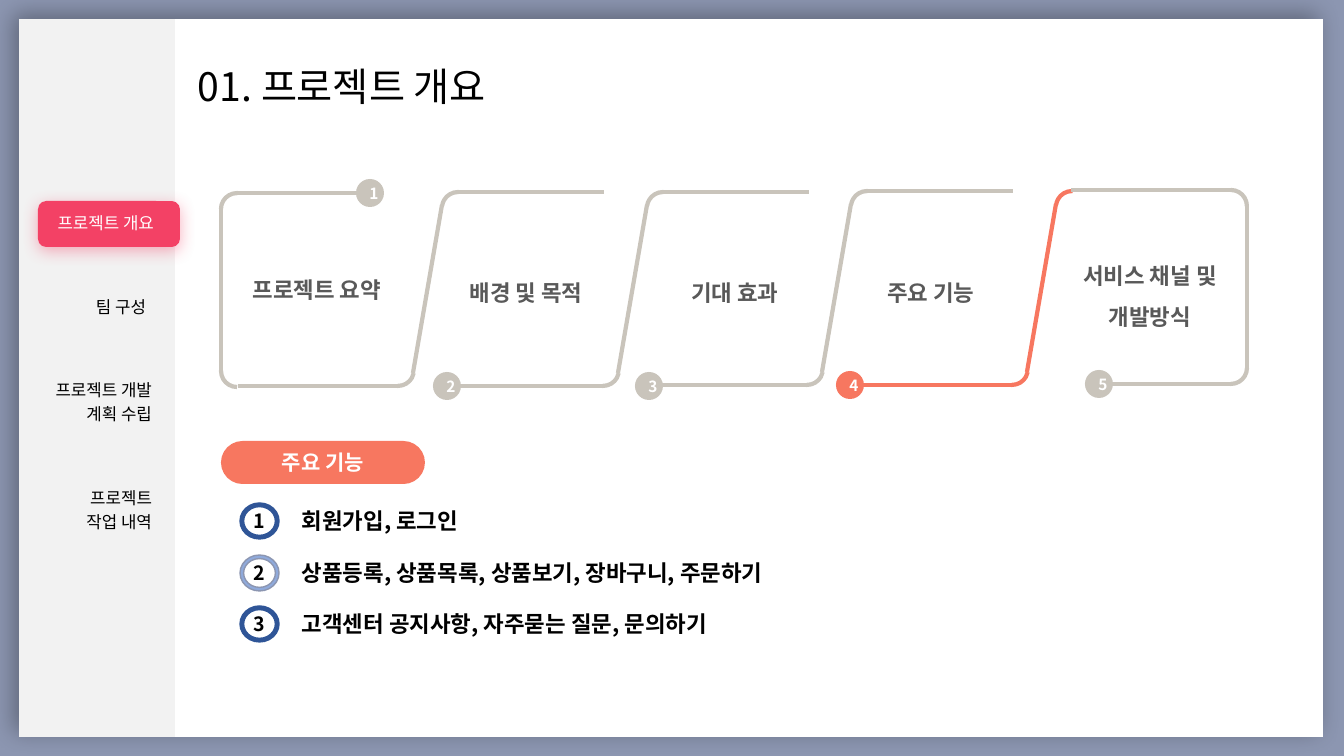
from lxml.etree import SubElement
from pptx import Presentation
from pptx.dml.color import RGBColor
from pptx.enum.shapes import MSO_CONNECTOR, MSO_SHAPE
from pptx.enum.text import MSO_ANCHOR, PP_ALIGN
from pptx.oxml.ns import qn
from pptx.util import Emu, Pt

FONT = "Noto Sans CJK KR"
GREY, CORAL, PINK = "C9C4BB", "F77760", "F34165"
WHITE, BLACK, DARK = "FFFFFF", "000000", "595959"
NO_STYLE = "{2D5ABB26-0587-4C30-8999-92F81FD0307C}"
CORNER, HALF = 32, 16
FRAME_H, STEP = 194, 204.6


def px(n):
    """Turn pixels (100.8 to the inch) into EMU."""
    return Emu(round(n * 914400 / 100.8))


def rgb(color):
    return RGBColor.from_string(color)


def style_text(tf, size, color, bold=False, align=PP_ALIGN.LEFT, spacing=None):
    tf.word_wrap = True
    for p in tf.paragraphs:
        p.alignment = align
        if spacing:
            p.line_spacing = spacing
        for r in p.runs:
            r.font.size = Pt(size)
            r.font.bold = bold
            r.font.color.rgb = rgb(color)
            r.font.name = FONT
            SubElement(r.font._element, qn("a:ea"), typeface=FONT)


def add_text(s, box, text, size, color=BLACK, **style):
    tf = s.shapes.add_textbox(*map(px, box)).text_frame
    tf.text = text
    style_text(tf, size, color, **style)


def add_shape(s, kind, box, fill=None, line=None, width=1, adj=()):
    sp = s.shapes.add_shape(kind, *map(px, box))
    sp.shadow.inherit = False
    for i, value in enumerate(adj):
        sp.adjustments[i] = value
    if fill:
        sp.fill.solid()
        sp.fill.fore_color.rgb = rgb(fill)
    else:
        sp.fill.background()
    if line:
        sp.line.color.rgb = rgb(line)
        sp.line.width = Pt(width)
    else:
        sp.line.fill.background()
    return sp


def add_shadow(sp, color, alpha, blur, dist, angle):
    effects = sp._element.spPr.find(qn("a:effectLst"))
    shadow = SubElement(effects, qn("a:outerShdw"), blurRad=str(Pt(blur)), dist=str(Pt(dist)),
                        dir=str(angle * 60000), algn="ctr", rotWithShape="0")
    clr = SubElement(shadow, qn("a:srgbClr"), val=color)
    SubElement(clr, qn("a:alpha"), val=str(alpha * 1000))


def add_line(s, x1, y1, x2, y2, color=GREY):
    c = s.shapes.add_connector(MSO_CONNECTOR.STRAIGHT, px(x1), px(y1), px(x2), px(y2))
    c.line.color.rgb = rgb(color)
    c.line.width = Pt(3)
    SubElement(c._element.spPr, qn("a:effectLst"))


def add_corner(s, x, y, rotation, color=GREY, start=162):
    """Draw a rounded corner; start is the arc's first angle in units of 5/3 degrees."""
    sp = add_shape(s, MSO_SHAPE.ARC, (x, y, CORNER, CORNER), line=color, width=3, adj=(start, 1.2))
    sp.rotation = rotation


def add_badge(s, x, y, number, color):
    sp = add_shape(s, MSO_SHAPE.OVAL, (x, y, 28, 28), color)
    tf = sp.text_frame
    tf.text = number
    tf.vertical_anchor = MSO_ANCHOR.MIDDLE
    tf.margin_left = px(8)
    tf.margin_right = tf.margin_top = tf.margin_bottom = 0
    style_text(tf, 11, WHITE, bold=True, align=PP_ALIGN.CENTER)


def add_background(s):
    page = add_shape(s, MSO_SHAPE.RECTANGLE, (19, 19, 1304, 718))
    page.fill.gradient()
    page.fill.gradient_angle = 0
    for stop, color in zip(page.fill.gradient_stops, ("F2F2F2", WHITE)):
        stop.position = 0.12
        stop.color.rgb = rgb(color)
    add_shadow(page, BLACK, 31, 17, 5, 225)


def add_menu(s):
    active = add_shape(s, MSO_SHAPE.ROUNDED_RECTANGLE, (38, 201, 142, 46), PINK, adj=(0.18,))
    add_shadow(active, PINK, 41, 12, 3, 90)
    rows = [
        (53, "", 0), (48, "프로젝트 개요", 24), (120, "팀 구성", 32),
        (70, "프로젝트 개발\n계획 수립", 26), (146, "프로젝트\n작업 내역", 26),
    ] + [(38, "", 0)] * 4
    height = sum(row[0] for row in rows)
    table = s.shapes.add_table(len(rows), 1, px(33), px(145), px(145), px(height)).table
    table.first_row = table.horz_banding = False
    table._tbl.tblPr.find(qn("a:tableStyleId")).text = NO_STYLE
    for i, (h, text, right) in enumerate(rows):
        table.rows[i].height = px(h)
        cell = table.cell(i, 0)
        cell.fill.background()
        cell.vertical_anchor = MSO_ANCHOR.MIDDLE
        cell.margin_left = cell.margin_top = cell.margin_bottom = 0
        cell.margin_right = px(right)
        cell.text_frame.text = text
        style_text(cell.text_frame, 12, WHITE if i == 1 else BLACK, align=PP_ALIGN.RIGHT)


def add_first_frame(s, x, top):
    """Draw the left side of the chain of frames."""
    bottom = top + FRAME_H
    add_corner(s, x, top, 270)
    add_line(s, x + HALF, top, 364, top)
    add_line(s, x, top + HALF, x, bottom - HALF)
    add_corner(s, x, bottom - CORNER, 180)


def add_divider(s, x, top, color):
    """Draw a bottom edge that climbs through a slanted stroke to the next top edge."""
    bottom = top + FRAME_H
    add_line(s, x - 144, bottom, x + HALF, bottom, color)
    add_corner(s, x, bottom - CORNER, 90, color, 168.6)
    add_line(s, x + 31, bottom - 13, x + 60, top + 13, color)
    add_corner(s, x + 60, top, 270, color, 166.35)


def add_last_frame(s, right, top):
    """Draw the right side of the chain of frames."""
    bottom = top + FRAME_H
    add_corner(s, right - CORNER, bottom - CORNER, 90)
    add_line(s, right - HALF, bottom, 1104, bottom)
    add_line(s, right, bottom - HALF, right, top + HALF)
    add_corner(s, right - CORNER, top, 0)
    add_line(s, right - HALF, top, 1071, top)


def add_steps(s):
    add_first_frame(s, 221, 193)
    for i in range(4):
        x, top = 382 + round(STEP * i), 192 - i // 2
        add_divider(s, x, top, CORAL if i == 3 else GREY)
        if i < 3:
            add_line(s, x + 76, top, x + 222, top)
    add_last_frame(s, 1247, 190)

    steps = [
        ("프로젝트 요약", 227, 258, 356, 179), ("배경 및 목적", 436, 261, 433, 372),
        ("기대 효과", 645, 261, 635, 372), ("주요 기능", 841, 261, 836, 371),
        ("서비스 채널 및 개발방식", 1060, 244, 1085, 370),
    ]
    for n, (label, x, y, badge_x, badge_y) in enumerate(steps, 1):
        add_text(s, (x, y, 180, 46), label, 16, DARK, bold=True,
                 align=PP_ALIGN.CENTER, spacing=1.5)
        add_badge(s, badge_x, badge_y, str(n), CORAL if n == 4 else GREY)


def add_features(s):
    pill = add_shape(s, MSO_SHAPE.ROUNDED_RECTANGLE, (221, 441, 204, 43), CORAL, adj=(0.5,))
    pill.text_frame.text = "주요 기능"
    pill.text_frame.vertical_anchor = MSO_ANCHOR.MIDDLE
    style_text(pill.text_frame, 15, WHITE, bold=True, align=PP_ALIGN.CENTER)

    features = [
        (503, "회원가입, 로그인", "2F5597", "2F5597"),
        (555, "상품등록, 상품목록, 상품보기, 장바구니, 주문하기", "8FAADC", "8C96B1"),
        (606, "고객센터 공지사항, 자주묻는 질문, 문의하기", "2F5597", "2F5597"),
    ]
    for n, (y, text, fill, line) in enumerate(features, 1):
        add_shape(s, MSO_SHAPE.DONUT, (240, y, 39, 36), fill, line, adj=(0.1,))
        add_text(s, (244, y + 1, 26, 34), str(n), 14, bold=True)
        add_text(s, (292, y - 1, 922, 37), text, 16, bold=True)


def main():
    prs = Presentation()
    prs.slide_width, prs.slide_height = px(1344), px(756)
    s = prs.slides.add_slide(prs.slide_layouts[6])
    s.background.fill.solid()
    s.background.fill.fore_color.rgb = rgb("8C96B1")
    add_background(s)
    add_menu(s)
    add_text(s, (188, 57, 842, 58), "01. 프로젝트 개요", 28)
    add_steps(s)
    add_features(s)
    prs.save("out.pptx")


if __name__ == "__main__":
    main()
